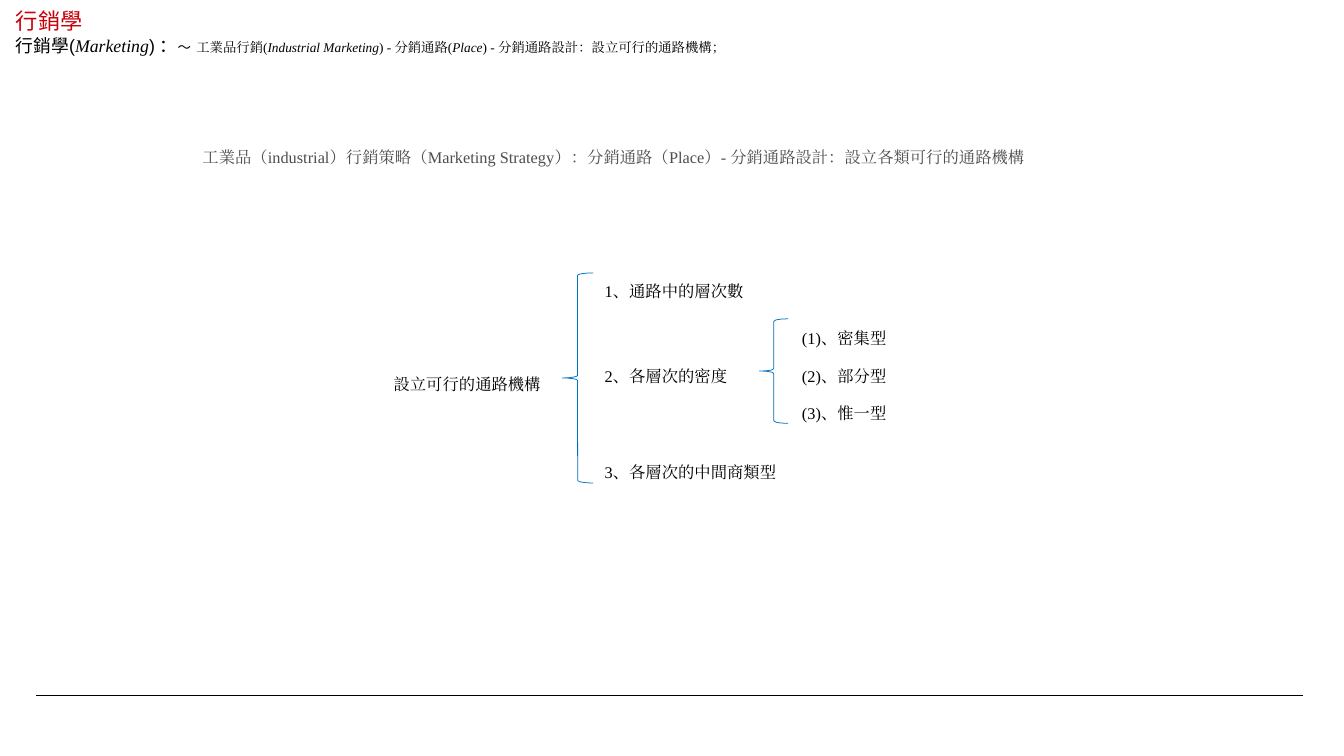
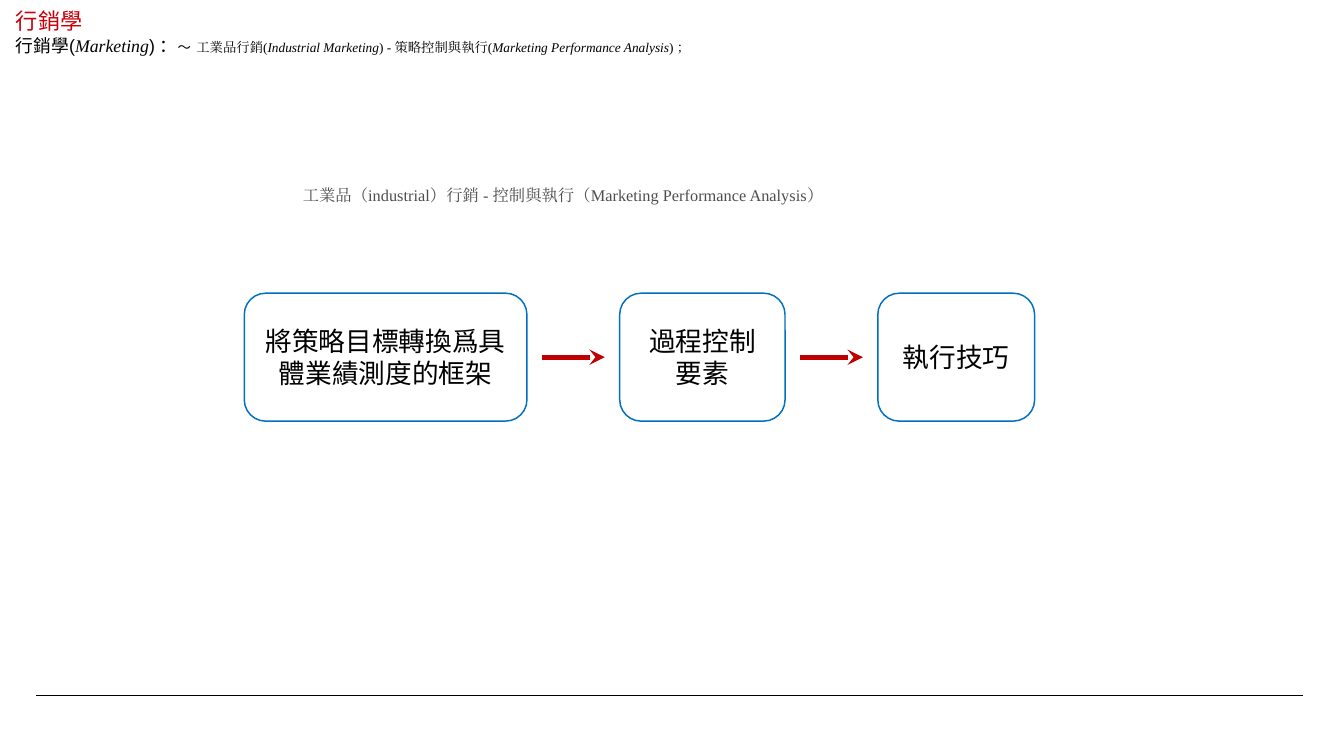
import pptx
import pptx.util
import pptx.dml.color
import pptx.enum.shapes
import pptx.enum.text
import pptx.oxml
import pptx.oxml.ns
from lxml import etree

Inches, Pt = pptx.util.Inches, pptx.util.Pt
SHAPE = pptx.enum.shapes.MSO_SHAPE
ALIGN = pptx.enum.text.PP_ALIGN
ANCHOR = pptx.enum.text.MSO_ANCHOR
FIT = pptx.enum.text.MSO_AUTO_SIZE

# Shared look
COLORS = {"title": "C7000B", "text": "000000", "heading": "4D4D4D",
          "outline": "0070C0", "arrow": "C00000", "rule": "000000"}
SERIF, SANS, CJK = "Times New Roman", "Arial", "Noto Sans CJK SC"
FONTS = {
    "title": {"name": SANS, "size": Pt(15)},
    "subject": {"name": SANS, "size": Pt(12)},
    "subject_italic": {"name": SERIF, "size": Pt(12), "italic": True},
    "tilde": {"name": SANS, "size": Pt(9)},
    "gap": {"name": SANS, "size": Pt(13)},
    "topic": {"name": SERIF, "size": Pt(9)},
    "topic_italic": {"name": SERIF, "size": Pt(9), "italic": True},
    "body": {"name": SERIF, "size": Pt(11)},
    "step": {"name": CJK, "size": Pt(18)},
}
GROWING = {"word_wrap": True, "auto_size": FIT.SHAPE_TO_FIT_TEXT}
CENTERED = {"word_wrap": True, "vertical_anchor": ANCHOR.MIDDLE}
LABEL_HEIGHT = 0.34


def rgb(color):
    return pptx.dml.color.RGBColor.from_string(COLORS[color])


def set_format(target, values):
    for attribute, value in values.items():
        setattr(target, attribute, value)


def add_run(paragraph, text, style, color="text"):
    run = paragraph.add_run()
    run.text = text
    set_format(run.font, FONTS[style])
    run.font.color.rgb = rgb(color)
    east_asian = etree.SubElement(run.font._element, pptx.oxml.ns.qn("a:ea"))
    east_asian.set("typeface", FONTS[style]["name"])


def add_box(slide, left, top, width, height, frame_format):
    box = slide.shapes.add_textbox(Inches(left), Inches(top), Inches(width), Inches(height))
    set_format(box.text_frame, frame_format)
    return box.text_frame.paragraphs[0]


def add_label(slide, text, left, top, width, color="text", align=ALIGN.LEFT):
    paragraph = add_box(slide, left, top, width, LABEL_HEIGHT, GROWING)
    set_format(paragraph, {"alignment": align, "line_spacing": 1.5})
    add_run(paragraph, text, "body", color)


def add_outline(slide, kind, left, top, width, height, weight):
    outline = slide.shapes.add_shape(kind, Inches(left), Inches(top), Inches(width), Inches(height))
    outline.shadow.inherit = False
    outline.fill.background()
    outline.line.color.rgb = rgb("outline")
    outline.line.width = Pt(weight)
    return outline


def add_line(slide, start, end, y, color, weight):
    line = slide.shapes.add_connector(pptx.enum.shapes.MSO_CONNECTOR.STRAIGHT,
                                      Inches(start), Inches(y), Inches(end), Inches(y))
    line.line.color.rgb = rgb(color)
    line.line.width = Pt(weight)
    etree.SubElement(line.element.spPr, pptx.oxml.ns.qn("a:effectLst"))
    return line


def add_arrow(slide, start, end, y):
    arrow = add_line(slide, start, end, y, "arrow", 3.5)
    head = etree.SubElement(arrow.line._get_or_add_ln(), pptx.oxml.ns.qn("a:tailEnd"))
    head.set("type", "stealth")


def add_step(slide, text, left, top, width, height):
    step = add_outline(slide, SHAPE.ROUNDED_RECTANGLE, left, top, width, height, 1)
    set_format(step.text_frame, CENTERED)
    paragraph = step.text_frame.paragraphs[0]
    set_format(paragraph, {"alignment": ALIGN.CENTER, "line_spacing": Pt(21.6)})
    add_run(paragraph, text, "step")


def add_header(slide, topic):
    """Title and breadcrumb; the parts of the topic between asterisks are italic."""
    title = add_box(slide, 0.05, 0.07, 9.32, 0.24, CENTERED)
    add_run(title, "行銷學", "title", "title")

    breadcrumb = add_box(slide, 0.05, 0.26, 10.76, 0.32, GROWING)
    for text, style in (("行銷學(", "subject"), ("Marketing", "subject_italic"),
                        (") ：", "subject"), ("～", "tilde"), (" ", "gap")):
        add_run(breadcrumb, text, style)
    for index, text in enumerate(topic.split("*")):
        add_run(breadcrumb, text, "topic_italic" if index % 2 else "topic")


def build_channel_design(slide):
    add_header(slide, "工業品行銷(*Industrial Marketing*) - 分銷通路(*Place*) - "
                      "分銷通路設計：設立可行的通路機構；")
    add_label(slide, "工業品（industrial）行銷策略（Marketing Strategy）：分銷通路（Place）- "
                     "分銷通路設計：設立各類可行的通路機構", 1.8, 1.24, 9, "heading")

    # Tree of decisions
    add_label(slide, "設立可行的通路機構", 3.49, 3.37, 1.78, align=ALIGN.CENTER)
    add_outline(slide, SHAPE.LEFT_BRACE, 5.27, 2.56, 0.29, 1.97, 0.5)
    for text, top in (("1、通路中的層次數", 2.5), ("2、各層次的密度", 3.29),
                      ("3、各層次的中間商類型", 4.19)):
        add_label(slide, text, 5.57, top, 1.88)

    add_outline(slide, SHAPE.LEFT_BRACE, 7.12, 2.99, 0.27, 0.98, 0.5)
    for index, text in enumerate(("(1)、密集型", "(2)、部分型", "(3)、惟一型")):
        add_label(slide, text, 7.42, 2.94 + index * 0.35, 1.12)


def build_performance_control(slide):
    add_header(slide, "工業品行銷(*Industrial Marketing*) - 策略控制與執行("
                      "*Marketing Performance Analysis*) ；")
    add_label(slide, "工業品（industrial）行銷 - 控制與執行（Marketing Performance Analysis）",
              2.74, 1.6, 7.11, "heading")

    # Chain of steps with an arrow in each gap
    left, top, height, gap, clearance = 2.29, 2.75, 1.2, 0.87, 0.14
    steps = (("將策略目標轉換爲具體業績測度的框架", 2.65), ("過程控制要素", 1.55), ("執行技巧", 1.47))
    for index, (text, width) in enumerate(steps):
        if index:
            add_arrow(slide, left - gap + clearance, left - clearance, top + height / 2)
        add_step(slide, text, left, top, width, height)
        left += width + gap


def main():
    presentation = pptx.Presentation()
    set_format(presentation, {"slide_width": Inches(12.6), "slide_height": Inches(7.09)})
    blank = presentation.slide_layouts[6]

    for index, build in enumerate((build_channel_design, build_performance_control)):
        slide = presentation.slides.add_slide(blank)
        if index == 0:
            # The footer rule lives on the layout, so that every slide shows it
            rule = add_line(slide, 0.34, 12.22, 6.52, "rule", 0.5)
            blank.shapes.element.append(rule.element)
        build(slide)

    presentation.save("out.pptx")


if __name__ == "__main__":
    main()
